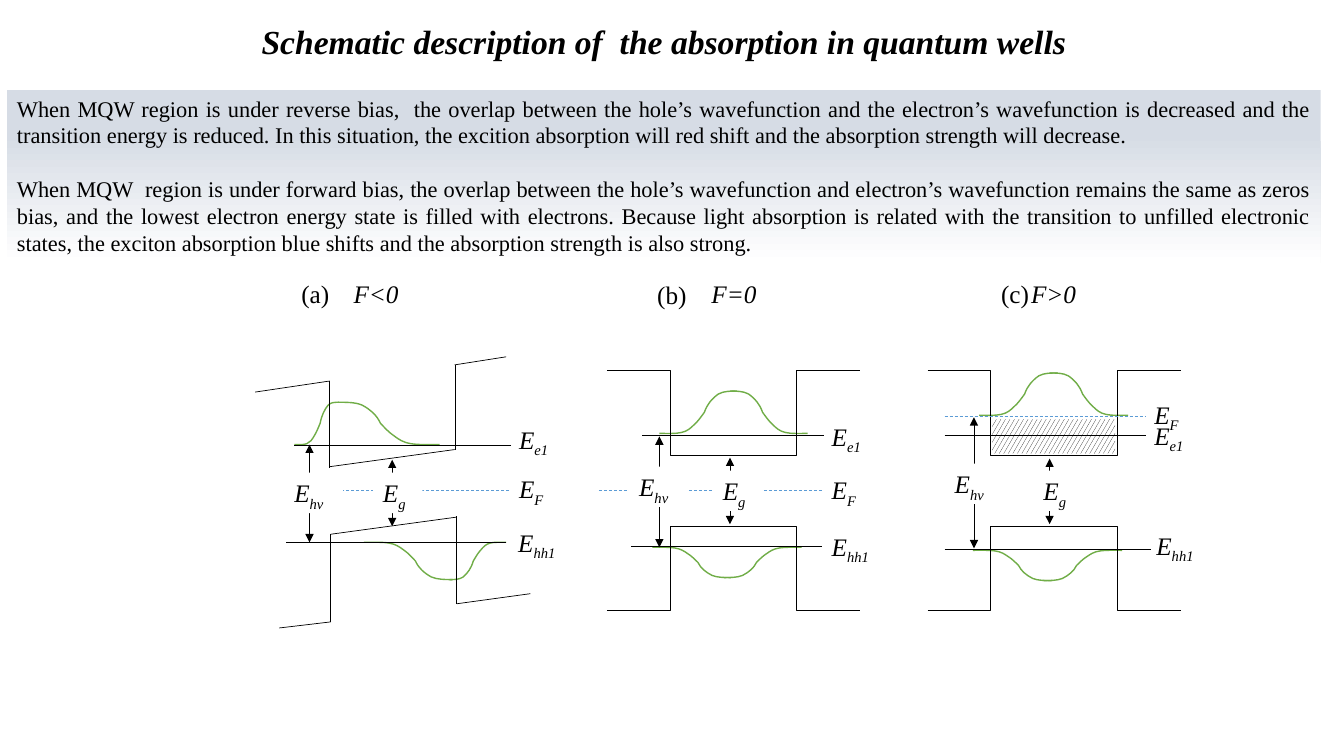
"""Build a slide on optical absorption in biased quantum wells."""
from pptx import Presentation
from pptx.dml.color import RGBColor as RGB
from pptx.enum.dml import MSO_LINE, MSO_PATTERN
from pptx.enum.shapes import MSO_CONNECTOR as CONN, MSO_SHAPE as SHAPE
from pptx.enum.text import MSO_ANCHOR as ANCHOR, MSO_AUTO_SIZE as AUTO, PP_ALIGN as ALIGN
from pptx.oxml.ns import qn
from pptx.util import Inches, Pt
from lxml import etree


class Theme:
    font = "Times New Roman"
    ink, paper = RGB(0, 0, 0), RGB(255, 255, 255)
    shade, wave, fermi = (RGB.from_string(c) for c in ("D6DCE5", "70AD47", "5B9BD5"))
    title, body, label = Pt(24), Pt(16), Pt(18)
    thin, bold = Pt(0.5), Pt(1)


TITLE = "Schematic description of  the absorption in quantum wells"
BODY = [
    "When MQW region is under reverse bias,  the overlap between the hole’s wavefunction and the "
    "electron’s wavefunction is decreased and the transition energy is reduced. In this situation, "
    "the excition absorption will red shift and the absorption strength will decrease. ",
    "When MQW  region is under forward bias, the overlap between the hole’s wavefunction and "
    "electron’s wavefunction remains the same as zeros bias, and the lowest electron energy state "
    "is filled with electrons. Because light absorption is related with the transition to unfilled "
    "electronic states, the exciton absorption blue shifts and the absorption strength is also strong.",
]
PROFILE = [
    (0, 0), (.1, 0), (.21, -.01), (.28, .02), (.36, .05), (.4, .12), (.45, .21),
    (.5, .29), (.54, .4), (.58, .5), (.6, .6), (.62, .67), (.65, .74),
    (.68, .81), (.72, .88), (.76, .93), (.8, .97), (.83, .98), (.87, .99),
    (.91, 1), (1, 1), (1, 1),
]
PANELS = [
    dict(
        tag=("(a)", 2.89, 2.71), bias=("F<0", 3), well=None, hatch=None,
        waves=[(4.36, 4.41, 3.35, 3.99), (2.92, 4.41, 3.36, 3.99),
               (3.61, 5.38, 4.49, 5.75), (5.02, 5.38, 4.46, 5.75)],
        lines=[(4.53, 5.13, 3.28, 5.3), (4.51, 3.62, 5.02, 3.54), (5.07, 4.42, 2.92, 4.42),
               (5.02, 5.38, 2.84, 5.38), (4.53, 5.12, 4.53, 5.99), (5.26, 5.89, 4.53, 5.99),
               (3.28, 5.3, 3.28, 6.17), (3.28, 6.17, 2.77, 6.23), (4.52, 4.46, 4.52, 3.62),
               (3.27, 4.64, 3.27, 3.78), (2.53, 3.89, 3.27, 3.78), (4.51, 4.46, 3.27, 4.63)],
        fermi=(5.05, 4.86, 2.88, 4.86),
        arrows=[(3.89, 4.56, 3.89, 5.22), (3.07, 4.41, 3.07, 5.38)],
        levels=[("e1", 5.05, 4.16), ("hh1", 5.04, 5.18), ("F", 5.05, 4.65)],
        gaps=[("g", 3.7, 4.69, .49), ("hv", 2.82, 4.69, .58)],
    ),
    dict(
        tag=("(b)", 6.42, 2.72), bias=("F=0", 6.55), well=6.02, hatch=None,
        waves=[(6.54, 4.3, 7.31, 3.88), (8.01, 4.3, 7.24, 3.88),
               (7.95, 5.43, 7.18, 5.73), (6.47, 5.43, 7.25, 5.73)],
        lines=[(6.37, 4.32, 8.17, 4.32), (6.26, 5.42, 8.15, 5.42)],
        fermi=(5.94, 4.86, 8.15, 4.86),
        arrows=[(7.24, 4.54, 7.24, 5.2), (6.54, 4.33, 6.54, 5.43)],
        levels=[("e1", 8.15, 4.13), ("hh1", 8.15, 5.22), ("F", 8.15, 4.66)],
        gaps=[("g", 7.07, 4.67, .49), ("hv", 6.24, 4.63, .58)],
    ),
    dict(
        tag=("(c)", 9.83, 2.71), bias=("F>0", 9.72), well=9.2, hatch=(9.84, 4.16, 1.22, .34),
        waves=[(9.71, 4.12, 10.49, 3.7), (11.19, 4.12, 10.41, 3.7),
               (11.13, 5.46, 10.35, 5.76), (9.65, 5.46, 10.43, 5.76)],
        lines=[(9.37, 4.32, 11.37, 4.32), (9.37, 5.45, 11.42, 5.45)],
        fermi=(9.37, 4.13, 11.37, 4.13),
        arrows=[(10.41, 4.55, 10.41, 5.2), (9.66, 4.14, 9.66, 5.44)],
        levels=[("e1", 11.35, 4.12), ("hh1", 11.37, 5.21), ("F", 11.35, 3.91)],
        gaps=[("g", 10.25, 4.67, .49), ("hv", 9.37, 4.6, .58)],
    ),
]
WELL_WIDTH = 2.51
BANDS = [(3.67, 4.52), (6.06, 5.22)]


def inches(values):
    return [Inches(v) for v in values]


def add_run(p, text, size, baseline=None, **fmt):
    r = p.add_run()
    r.text = text
    for key, value in dict(name=Theme.font, size=size, **fmt).items():
        setattr(r.font, key, value)
    r.font.color.rgb = Theme.ink
    if baseline:
        r._r.get_or_add_rPr().set("baseline", str(baseline))


def frame(sp, align):
    tf = sp.text_frame
    for key, value in dict(word_wrap=True, auto_size=AUTO.SHAPE_TO_FIT_TEXT,
                           vertical_anchor=ANCHOR.TOP).items():
        setattr(tf, key, value)
    tf.paragraphs[0].alignment = align
    return tf


def add_box(shapes, *box):
    sp = shapes.add_shape(SHAPE.RECTANGLE, *inches(box))
    sp.shadow.inherit = False
    sp.line.fill.background()
    return sp


def add_text(shapes, text, box, sub=None, align=ALIGN.LEFT, italic=True, filled=False):
    if filled:
        sp = add_box(shapes, *box)
        sp.fill.solid()
        sp.fill.fore_color.rgb = Theme.paper
    else:
        sp = shapes.add_textbox(*inches(box))
    p = frame(sp, align).paragraphs[0]
    add_run(p, text, Theme.label, italic=italic)
    if sub:
        add_run(p, sub, Theme.label, baseline=-25000, italic=italic)


def add_line(shapes, ends, kind=CONN.STRAIGHT, color=Theme.ink, dash=None, arrows=False):
    line = shapes.add_connector(kind, *inches(ends))
    line.line.color.rgb = color
    line.line.width = Theme.thin
    if dash:
        line.line.dash_style = dash
    if arrows:
        for end in ("a:headEnd", "a:tailEnd"):
            etree.SubElement(line.line._get_or_add_ln(), qn(end), type="triangle")
    etree.SubElement(line._element.spPr, qn("a:effectLst"))


def add_wave(shapes, tail_x, tail_y, peak_x, peak_y):
    points = [inches((tail_x + u * (peak_x - tail_x), tail_y + v * (peak_y - tail_y)))
              for u, v in PROFILE]
    builder = shapes.build_freeform(*points[0])
    builder.add_line_segments(points[1:], close=False)
    sp = builder.convert_to_shape()
    sp.shadow.inherit = False
    sp.fill.background()
    sp.line.color.rgb = Theme.wave
    sp.line.width = Theme.bold
    segments = list(sp._element.iter(qn("a:lnTo")))
    for i in range(0, len(segments), 3):
        curve = etree.SubElement(segments[i].getparent(), qn("a:cubicBezTo"))
        for segment in segments[i:i + 3]:
            curve.append(segment[0])
            segment.getparent().remove(segment)


def add_panel(shapes, panel):
    for wave in panel["waves"]:
        add_wave(shapes, *wave)
    if panel["hatch"]:
        fill = add_box(shapes, *panel["hatch"]).fill
        fill.patterned()
        fill.pattern = MSO_PATTERN.LARGE_CONFETTI
        fill.fore_color.rgb, fill.back_color.rgb = Theme.ink, Theme.paper
    if panel["well"]:
        left, mid = panel["well"], panel["well"] + WELL_WIDTH / 2
        for outer, inner in BANDS:
            for x in (left, left + WELL_WIDTH):
                add_line(shapes, (x, outer, mid, inner), CONN.ELBOW)
    for ends in panel["lines"]:
        add_line(shapes, ends)
    add_line(shapes, panel["fermi"], color=Theme.fermi, dash=MSO_LINE.DASH)
    for ends in panel["arrows"]:
        add_line(shapes, ends, arrows=True)
    for sub, x, y in panel["levels"]:
        add_text(shapes, "E", (x, y, .75, .4), sub)
    for sub, x, y, width in panel["gaps"]:
        add_text(shapes, "E", (x, y, width, .4), sub, filled=True)
    bias, x = panel["bias"]
    add_text(shapes, bias, (x, 2.71, 1.46, .4), align=ALIGN.CENTER)
    tag, x, y = panel["tag"]
    add_text(shapes, tag, (x, y, .78, .4), italic=False)


prs = Presentation()
prs.slide_width, prs.slide_height = inches((13.33, 7.5))
slide = prs.slides.add_slide(prs.slide_layouts[5])
shapes = slide.shapes
title = shapes.title
title.left, title.top, title.width, title.height = inches((.12, .16, 12.93, .5))
add_run(frame(title, ALIGN.CENTER).paragraphs[0], TITLE, Theme.title, bold=True, italic=True)

summary = add_box(shapes, .07, .89, 13.03, 1.72)
summary.fill.gradient()
summary.fill.gradient_angle = 270
for stop, position, color in zip(summary.fill.gradient_stops, (.26, 1), (Theme.shade, Theme.paper)):
    stop.position, stop.color.rgb = position, color
tf = frame(summary, ALIGN.JUSTIFY)
for i, text in enumerate(BODY):
    p = tf.add_paragraph() if i else tf.paragraphs[0]
    p.alignment = ALIGN.JUSTIFY
    p.space_before = Pt(19 * i)
    add_run(p, text, Theme.body)

for panel in PANELS:
    add_panel(shapes, panel)
prs.save("out.pptx")
